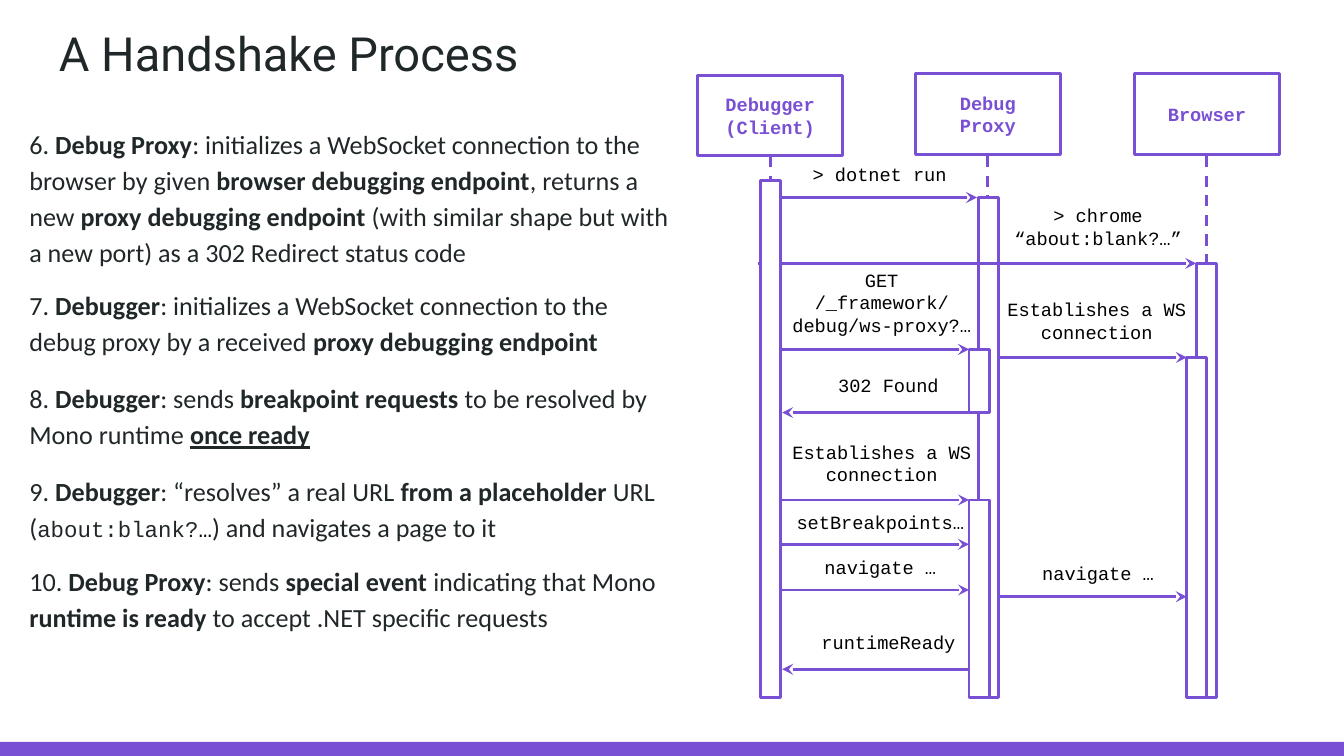
from lxml import etree
from pptx import Presentation
from pptx.dml.color import RGBColor
from pptx.enum.dml import MSO_LINE_DASH_STYLE as Dash
from pptx.enum.shapes import MSO_CONNECTOR as Connector, MSO_SHAPE as Shape
from pptx.enum.text import MSO_ANCHOR as Anchor, PP_ALIGN as Align
from pptx.oxml.ns import qn
from pptx.util import Inches, Pt

COLORS = {"bar": "7950D2", "line": "7950D3", "ink": "202729", "black": "000000", "white": "FFFFFF"}
BODY, CODE, TITLE = "Calibri", "Courier New", "Roboto"

STEPS = [
    (0, 1.21, 5.03, [
        ("6. ", ""), ("Debug Proxy", "b"),
        (": initializes a WebSocket connection to the browser by given ", ""),
        ("browser debugging endpoint", "b"), (", returns a new ", ""),
        ("proxy debugging endpoint", "b"),
        (" (with similar shape but with a new port) as a 302 Redirect status code", "")]),
    (1.2, 0.68, 5.03, [
        ("7. ", ""), ("Debugger", "b"),
        (": initializes a WebSocket connection to the debug proxy by a received ", ""),
        ("proxy debugging endpoint", "b")]),
    (1.89, 0.68, 5.03, [
        ("8. ", ""), ("Debugger", "b"), (": sends ", ""), ("breakpoint requests", "b"),
        (" to be resolved by Mono runtime ", ""), ("once ready", "bu")]),
    (2.58, 0.71, 5.11, [
        ("9. ", ""), ("Debugger", "b"), (": “resolves” a real URL ", ""),
        ("from a placeholder", "b"), (" URL (", ""), ("about:blank?", "c"), ("…", "ck"),
        (") and navigates a page to it", "")]),
    (3.25, 0.71, 5.11, [
        ("10. ", ""), ("Debug Proxy", "b"), (": sends ", ""), ("special event ", "b"),
        ("indicating that Mono", ""), (" runtime is ready ", "b"),
        ("to accept .NET specific requests", "")]),
]

PARTICIPANTS = [("Debugger\n(Client)", 0, 0.01), ("Debug\nProxy", 1.62, 0), ("Browser", 3.25, 0)]
PROXY_BAR = (2.09, 0.92, 3.72)
FRONT_BARS = [(0.47, 0.79, 3.85), (3.71, 1.41, 3.23), (2.02, 2.05, 0.47),
              (3.64, 2.11, 2.53), (2.02, 3.17, 1.47)]
MESSAGES = [
    ("> dotnet run", 0.62, 0.58, 1.47, 0.62, 2.08, 0.92),
    ("> chrome “about:blank?…”", 2.25, 0.87, 1.46, 0.45, 3.71, 1.41),
    ("GET\v/_framework/\vdebug/ws-proxy?…", 0.58, 1.35, 1.58, 0.62, 2.02, 2.05),
    ("Establishes a WS connection", 2.18, 1.57, 1.58, 2.24, 3.64, 2.11),
    ("302 Found", 0.63, 2.15, 1.58, 2.02, 0.63, 2.52),
    ("Establishes a WS connection", 0.58, 2.63, 1.58, 0.62, 2.02, 3.17),
    ("setBreakpoints…", 0.57, 3.17, 1.58, 0.62, 2.02, 3.5),
    ("navigate …", 0.57, 3.5, 1.58, 0.62, 2.02, 3.84),
    ("navigate …", 2.19, 3.55, 1.58, 2.24, 3.64, 3.89),
    ("runtimeReady", 0.63, 4.06, 1.58, 2.02, 0.63, 4.43),
]


def rgb(name):
    """Return the named colour."""
    return RGBColor.from_string(COLORS[name])


def style_font(font, name, size, color, bold=False):
    """Set the typeface, size, colour and weight of a font."""
    font.name, font.size, font.bold = name, Pt(size), bold
    font.color.rgb = rgb(color)


def add_rectangle(slide, left, top, width, height, fill=None, line=None):
    """Add a rectangle with an optional fill and outline."""
    shape = slide.shapes.add_shape(
        Shape.RECTANGLE, Inches(left), Inches(top), Inches(width), Inches(height))
    shape.shadow.inherit = False
    if fill:
        shape.fill.solid()
        shape.fill.fore_color.rgb = rgb(fill)
    else:
        shape.fill.background()
    if line:
        shape.line.color.rgb = rgb(line)
        shape.line.width = Pt(1.5)
    else:
        shape.line.fill.background()
    return shape


def set_margins(text_frame):
    """Wrap the text and give it equal margins."""
    text_frame.word_wrap = True
    text_frame.margin_left = text_frame.margin_right = Inches(0.1)
    text_frame.margin_top = text_frame.margin_bottom = Inches(0.1)


def add_text(slide, left, top, width, height):
    """Add an empty wrapping text box and return its text frame."""
    box = slide.shapes.add_textbox(Inches(left), Inches(top), Inches(width), Inches(height))
    set_margins(box.text_frame)
    return box.text_frame


def write_code(text_frame, text, color, bold=False):
    """Write centred monospaced text."""
    text_frame.text = text
    for paragraph in text_frame.paragraphs:
        paragraph.alignment = Align.CENTER
        for run in paragraph.runs:
            style_font(run.font, CODE, 10, color, bold)


def add_line(slide, start, end, arrow=False):
    """Add a solid arrow or a dashed lifeline."""
    connector = slide.shapes.add_connector(Connector.STRAIGHT, *map(Inches, start + end))
    connector.line.color.rgb = rgb("line")
    connector.line.width = Pt(1.5)
    properties = connector._element.spPr
    if arrow:
        etree.SubElement(properties.find(qn("a:ln")), qn("a:tailEnd"), type="stealth")
    else:
        connector.line.dash_style = Dash.DASH
    etree.SubElement(properties, qn("a:effectLst"))


def add_title(slide, left, top, width, height):
    """Add the slide title."""
    text_frame = add_text(slide, left, top, width, height)
    text_frame.text = "A Handshake Process"
    style_font(text_frame.paragraphs[0].runs[0].font, TITLE, 25.2, "ink")


def add_steps(slide, left, top):
    """Add the numbered explanations down the left side."""
    for offset, height, width, parts in STEPS:
        paragraph = add_text(slide, left, top + offset, width, height).paragraphs[0]
        paragraph.line_spacing = 1.15
        paragraph.space_after = Pt(12)
        for text, style in parts:
            run = paragraph.add_run()
            run.text = text
            name, size = (CODE, 12) if "c" in style else (BODY, 14)
            style_font(run.font, name, size, "black" if "k" in style else "ink", "b" in style)
            if "u" in style:
                run.font.underline = True


def add_sequence_diagram(slide, left, top):
    """Add the participants, lifelines, messages and activation bars."""
    def add_activation(x, y, height):
        """Add one activation bar."""
        add_rectangle(slide, left + x, top + y, 0.15, height, "white", "line")

    for name, x, y in PARTICIPANTS:
        header = add_rectangle(slide, left + x, top + y, 1.08, 0.6, line="line")
        set_margins(header.text_frame)
        header.text_frame.vertical_anchor = Anchor.MIDDLE
        write_code(header.text_frame, name, "line", bold=True)
        center = left + x + 0.54
        add_line(slide, (center, top + 0.61), (center, top + 4.64))
    add_activation(*PROXY_BAR)
    for text, x, label_top, width, start, end, y in MESSAGES:
        label = add_text(slide, left + x, top + label_top, width, y - label_top)
        write_code(label, text, "black")
        add_line(slide, (left + start, top + y), (left + end, top + y), arrow=True)
    for bar in FRONT_BARS:
        add_activation(*bar)


def main():
    """Build and save the slide."""
    presentation = Presentation()
    presentation.slide_width = Inches(10)
    presentation.slide_height = Inches(10) * 9 // 16
    slide = presentation.slides.add_slide(presentation.slide_layouts[6])
    add_rectangle(slide, 0, 5.52, 10, 0.11, "bar")
    add_title(slide, 0.34, 0.08, 9.32, 0.63)
    add_steps(slide, 0.12, 0.82)
    add_sequence_diagram(slide, 5.19, 0.55)
    presentation.save("out.pptx")


if __name__ == "__main__":
    main()
